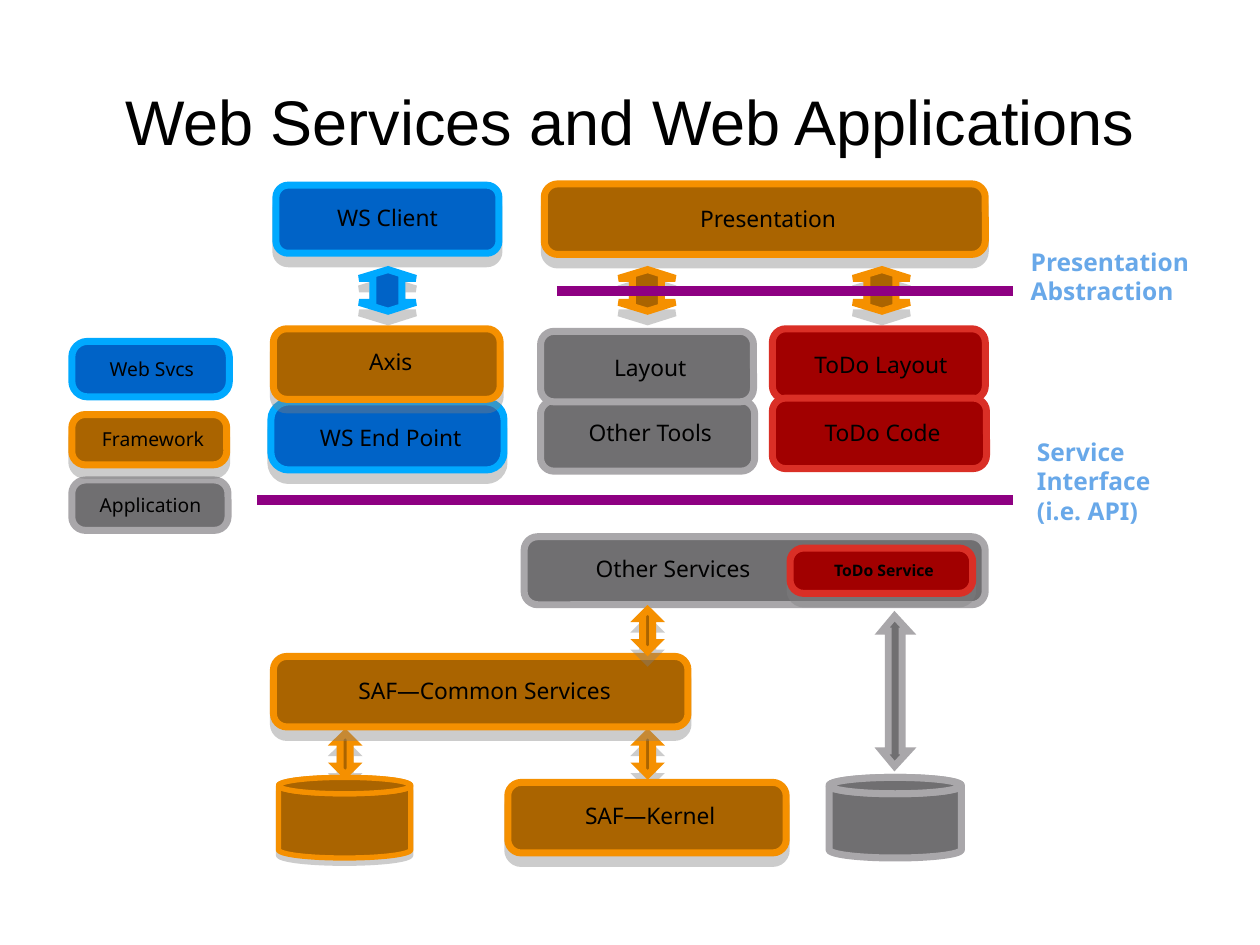
from lxml import etree
from pptx import Presentation
from pptx.dml.color import RGBColor
from pptx.enum.shapes import MSO_CONNECTOR, MSO_SHAPE
from pptx.enum.text import MSO_ANCHOR, PP_ALIGN
from pptx.oxml.ns import qn
from pptx.util import Pt

ROUNDED, CAN, OVAL = MSO_SHAPE.ROUNDED_RECTANGLE, MSO_SHAPE.CAN, MSO_SHAPE.OVAL
STRAIGHT = MSO_CONNECTOR.STRAIGHT
LEFT, CENTER = PP_ALIGN.LEFT, PP_ALIGN.CENTER
TOP, MIDDLE = MSO_ANCHOR.TOP, MSO_ANCHOR.MIDDLE

SCALE = 9144
WIDTH, HEIGHT = 1000, 750

THEME = {
    "web": ("0063C7", "00A9FF"),
    "framework": ("AA6400", "F59000"),
    "application": ("706F71", "A9A7AA"),
    "todo": ("A10000", "DA2F26"),
    "ink": "000000",
    "boundary": "8E0082",
    "note": "68A8E9",
    "shadow": "808080",
    "heading_font": "Arial",
    "body_font": "Noto Sans",
    "heading": 36,
    "note_size": 14,
    "label": 13,
    "legend": 11,
    "badge": 9,
    "outline": 4,
    "boundary_width": 6,
}

TITLE = ("Web Services and Web Applications", (75, 33, 850, 125))

LEGEND = [
    ("Application", "application", (57, 381, 124, 40), 0.27, 0, (60, 385, 114, 32)),
    ("Framework", "framework", (57, 329, 123, 40), 0.27, 6, (63, 329, 112, 39)),
    ("Web Svcs", "web", (57, 271, 125, 44), 0.28, 0, (61, 277, 114, 32)),
]

CLIENT_TIER = [
    ("ToDo Layout", "todo", (613, 261, 169, 56), 0.19, 0, (624, 272, 145, 36)),
    ("ToDo Code", "todo", (613, 316, 170, 56), 0.19, 0, (635, 326, 126, 36)),
    ("Presentation", "framework", (432, 146, 350, 56), 0.19, 6, (446, 156, 322, 36)),
    ("WS End Point", "web", (215, 319, 185, 54), 0.26, 6, (232, 330, 151, 36)),
    ("WS Client", "web", (219, 147, 177, 54), 0.18, 6, (231, 155, 148, 36)),
    ("Axis", "framework", (217, 261, 180, 56), 0.19, 6, (225, 270, 165, 36)),
    ("Other Tools", "application", (429, 318, 170, 56), 0.19, 0, (436, 326, 155, 36)),
    ("Layout", "application", (429, 263, 169, 56), 0.19, 0, (441, 274, 145, 36)),
]

SERVICE_TIER = [
    ("Other Services", "application", (416, 426, 366, 54), 0.2, 0, (439, 434, 185, 36)),
    ("SAF—Common Services", "framework", (217, 521, 329, 56), 0.19, 6, (222, 531, 320, 36)),
    ("SAF—Kernel", "framework", (403, 621, 221, 56), 0.19, 6, (427, 630, 173, 36)),
]

BADGE = ("ToDo Service", "todo", (627, 435, 145, 36), 0.3, 6)

CLIENT_ARROWS = [
    ("framework", (677, 214, 45, 33), 7, 6),
    ("web", (285, 214, 45, 33), 7, 6),
    ("framework", (491, 214, 45, 33), 7, 6),
]
STORE_ARROWS = [
    ("framework", (507, 582, 14, 33), 7, 6),
    ("framework", (267, 582, 14, 33), 7, 6),
]
SERVICE_ARROWS = [
    ("application", (700, 489, 21, 119), 12, 0),
    ("framework", (507, 484, 14, 33), 7, 6),
]

STORES = [
    ("application", (658, 617, 105, 64), 4, 0),
    ("framework", (221, 617, 105, 64), 3, 3),
]
LID = 13

BOUNDARIES = [(442, 804, 231), (204, 804, 397)]
NOTES = [
    (["Presentation", "Abstraction"], (813, 197, 148, 70)),
    (["Service", "Interface", "(i.e. API)"], (818, 348, 138, 102)),
]


def emu(*lengths):
    return [length * SCALE for length in lengths]


def rgb(code):
    return RGBColor.from_string(code)


def paint(shape, role, shadow, outline=THEME["outline"]):
    fill, edge = THEME[role]
    shape.fill.solid()
    shape.fill.fore_color.rgb = rgb(fill)
    shape.line.color.rgb = rgb(edge)
    shape.line.width = Pt(outline)
    shape.shadow.inherit = False
    if shadow:
        effects = shape._element.spPr.find(qn("a:effectLst"))
        outer = etree.SubElement(effects, qn("a:outerShdw"), blurRad="0",
                                 dist=str(Pt(shadow)), dir="5400000",
                                 algn="ctr", rotWithShape="0")
        color = etree.SubElement(outer, qn("a:srgbClr"), val=THEME["shadow"])
        etree.SubElement(color, qn("a:alpha"), val="40000")


def write(shape, lines, size, color=THEME["ink"], font=THEME["body_font"],
          align=CENTER, anchor=MIDDLE, bold=False, inset=0, indent=5, spacing=0.99):
    frame = shape.text_frame
    frame.word_wrap = True
    frame.vertical_anchor = anchor
    frame.margin_left = frame.margin_right = inset * SCALE
    frame.margin_top = frame.margin_bottom = inset * SCALE
    for index, line in enumerate(lines):
        paragraph = frame.add_paragraph() if index else frame.paragraphs[0]
        paragraph.alignment = align
        paragraph.line_spacing = spacing
        properties = paragraph._p.get_or_add_pPr()
        properties.set("marL", str(indent * SCALE))
        properties.set("indent", "0")
        run = paragraph.add_run()
        run.text = line
        run.font.size = Pt(size)
        run.font.name = font
        run.font.bold = bold
        run.font.color.rgb = rgb(color)


def add_box(shapes, role, place, rounding, shadow):
    box = shapes.add_shape(ROUNDED, *emu(*place))
    box.adjustments[0] = rounding
    paint(box, role, shadow)
    return box


def add_boxes(shapes, boxes, size):
    for label, role, place, rounding, shadow, label_place in boxes:
        add_box(shapes, role, place, rounding, shadow)
        write(shapes.add_textbox(*emu(*label_place)), [label], size)


def add_arrows(shapes, arrows):
    for role, (left, top, width, height), head, shadow in arrows:
        right, bottom, middle = left + width, top + height, left + width / 2
        shaft_left, shaft_right = left + width / 4, right - width / 4
        upper, lower = top + head, bottom - head
        outline = [(right, upper), (shaft_right, upper), (shaft_right, lower),
                   (right, lower), (middle, bottom), (left, lower),
                   (shaft_left, lower), (shaft_left, upper), (left, upper)]
        builder = shapes.build_freeform(middle, top, scale=SCALE)
        builder.add_line_segments(outline, close=True)
        arrow = builder.convert_to_shape()
        paint(arrow, role, shadow)
        etree.SubElement(arrow.line._get_or_add_ln(), qn("a:miter"), lim="800000")


def add_stores(shapes):
    for role, (left, top, width, height), outline, shadow in STORES:
        body = shapes.add_shape(CAN, *emu(left, top, width, height))
        body.adjustments[0] = LID / height
        paint(body, role, shadow, outline)
        lid = shapes.add_shape(OVAL, *emu(left, top, width, LID))
        paint(lid, role, 0, outline)


def add_boundary(shapes, left, right, level):
    boundary = shapes.add_connector(STRAIGHT, *emu(left, level, right, level))
    boundary.line.color.rgb = rgb(THEME["boundary"])
    boundary.line.width = Pt(THEME["boundary_width"])
    etree.SubElement(boundary._element.spPr, qn("a:effectLst"))


def main():
    deck = Presentation()
    deck.slide_width, deck.slide_height = emu(WIDTH, HEIGHT)
    shapes = deck.slides.add_slide(deck.slide_layouts[6]).shapes

    title, title_place = TITLE
    write(shapes.add_textbox(*emu(*title_place)), [title], THEME["heading"],
          font=THEME["heading_font"], indent=0, spacing=1.0)
    add_boxes(shapes, LEGEND, THEME["legend"])
    add_boxes(shapes, CLIENT_TIER, THEME["label"])
    add_arrows(shapes, CLIENT_ARROWS)
    add_arrows(shapes, STORE_ARROWS)
    add_boxes(shapes, SERVICE_TIER, THEME["label"])
    add_stores(shapes)
    add_arrows(shapes, SERVICE_ARROWS)
    badge, *badge_look = BADGE
    write(add_box(shapes, *badge_look), [badge], THEME["badge"],
          bold=True, inset=1, indent=4)
    for boundary in BOUNDARIES:
        add_boundary(shapes, *boundary)
    for lines, place in NOTES:
        write(shapes.add_textbox(*emu(*place)), lines, THEME["note_size"],
              color=THEME["note"], align=LEFT, anchor=TOP, bold=True)
    deck.save("out.pptx")


if __name__ == "__main__":
    main()
